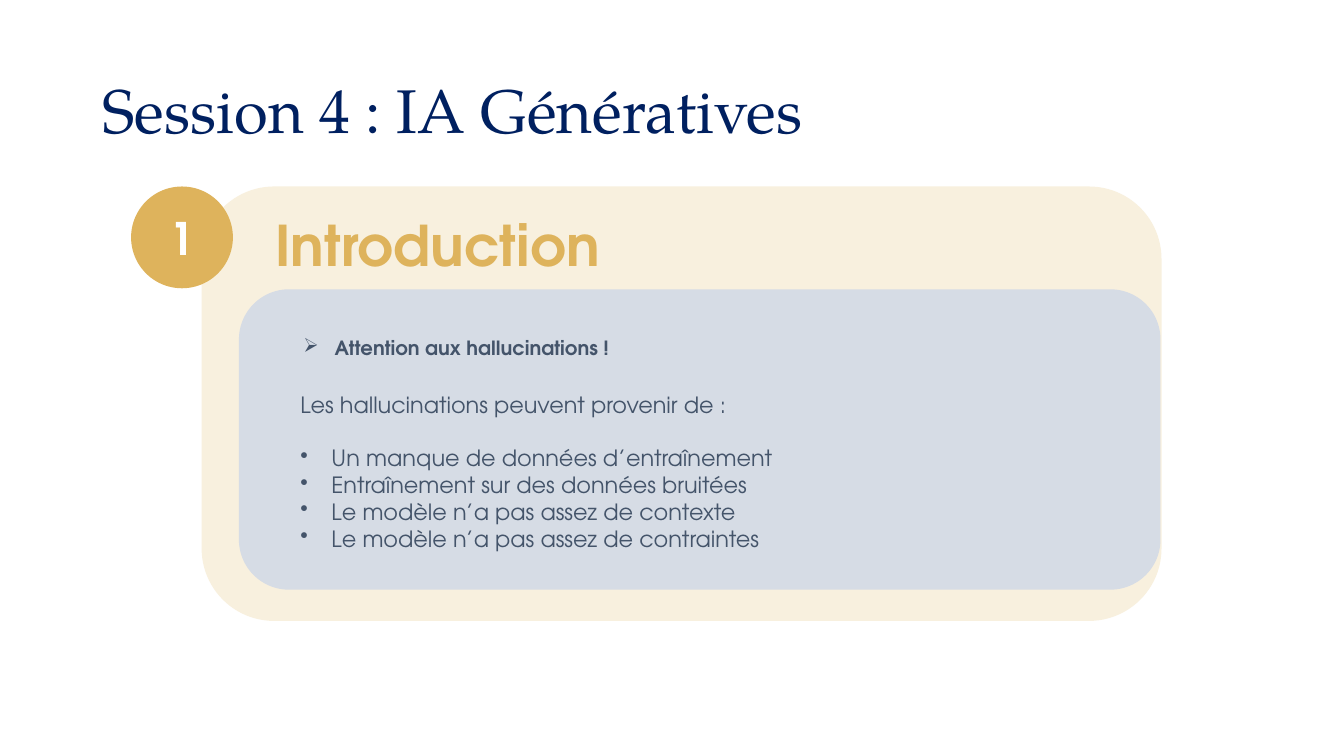
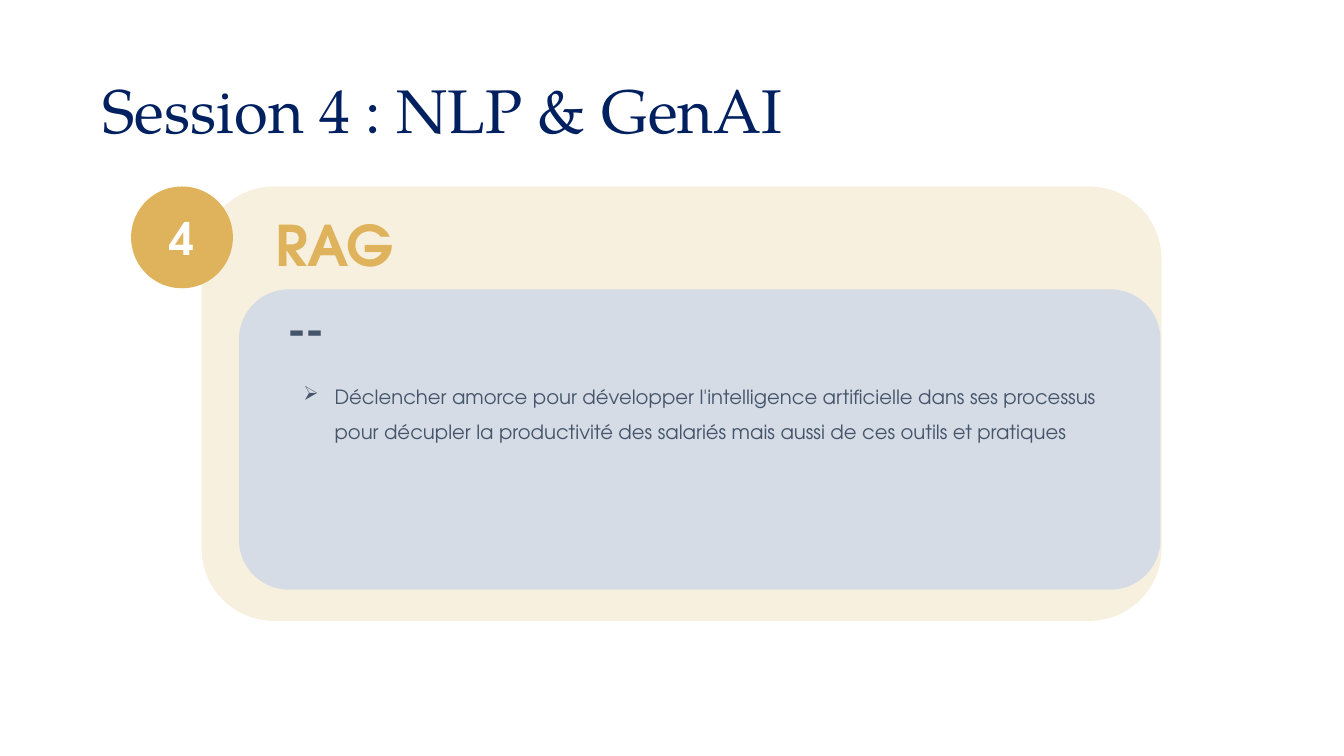
"""Build two session slides, each a numbered card with a heading and a body panel."""
from dataclasses import dataclass

from lxml.etree import SubElement
from pptx import Presentation
from pptx.dml.color import RGBColor
from pptx.enum.shapes import MSO_SHAPE as Shape
from pptx.enum.text import MSO_ANCHOR as Anchor, PP_ALIGN as Align
from pptx.oxml.ns import qn
from pptx.util import Emu, Pt

PX = 9144
NAVY = RGBColor(0x00, 0x20, 0x60)
GOLD = RGBColor(0xDE, 0xB3, 0x5C)
CREAM = RGBColor(0xF8, 0xF0, 0xDE)
MIST = RGBColor(0xD6, 0xDC, 0xE5)
SLATE = RGBColor(0x44, 0x54, 0x6A)
WHITE = RGBColor(0xFF, 0xFF, 0xFF)
SERIF = "TeX Gyre Pagella"
SANS = "TeX Gyre Adventor"
INDENT = 31


@dataclass(frozen=True)
class Box:
    left: int
    top: int
    width: int
    height: int


@dataclass(frozen=True)
class Style:
    size: int
    color: RGBColor = SLATE
    bold: bool = False
    face: str = SANS
    lead: float = 1.0


@dataclass(frozen=True)
class Line:
    text: str
    mark: str = ""
    gap: int = 0


@dataclass(frozen=True)
class Block:
    box: Box
    style: Style
    lines: tuple[Line, ...]


@dataclass(frozen=True)
class Card:
    title: str
    number: str
    head: str
    blocks: tuple[Block, ...]


TITLE = Style(44, NAVY, face=SERIF, lead=0.9)
BADGE = Style(32, WHITE, bold=True)
HEAD = Style(40, GOLD, bold=True)

CARDS = (
    Card("Session 4 : IA Génératives", "1", "Introduction", (
        Block(Box(291, 317, 839, 76), Style(14, bold=True, lead=1.5),
              (Line("Attention aux hallucinations !", "➢"),)),
        Block(Box(288, 383, 757, 172), Style(16), (
            Line("Les hallucinations peuvent provenir de :"),
            Line("Un manque de données d’entraînement", "•", 19),
            Line("Entraînement sur des données bruitées", "•"),
            Line("Le modèle n’a pas assez de contexte", "•"),
            Line("Le modèle n’a pas assez de contraintes", "•"),
        )),
    )),
    Card("Session 4 : NLP & GenAI", "4", "RAG", (
        Block(Box(275, 294, 644, 64), Style(32, bold=True), (Line("--"),)),
        Block(Box(291, 365, 839, 76), Style(14, lead=1.5), (
            Line("Déclencher amorce pour développer l'intelligence artificielle "
                 "dans ses processus pour décupler la productivité des salariés "
                 "mais aussi de ces outils et pratiques", "➢"),
        )),
    )),
)


def place(box: Box) -> tuple[Emu, ...]:
    """Turn a box in px into EMU lengths."""
    return tuple(Emu(n * PX) for n in (box.left, box.top, box.width, box.height))


def bullet(para, mark: str) -> None:
    """Give a paragraph a hanging bullet."""
    props = para._p.get_or_add_pPr()
    props.set("marL", str(INDENT * PX))
    props.set("indent", str(-INDENT * PX))
    SubElement(props, qn("a:buChar")).set("char", mark)


def write(frame, lines: tuple[Line, ...], style: Style,
          anchor=Anchor.TOP, align=Align.LEFT) -> None:
    """Fill a text frame with styled lines."""
    frame.word_wrap = True
    frame.vertical_anchor = anchor
    for i, line in enumerate(lines):
        para = frame.add_paragraph() if i else frame.paragraphs[0]
        para.text = line.text
        if line.mark:
            bullet(para, line.mark)
        para.alignment = align
        para.line_spacing = style.lead
        if line.gap:
            para.space_before = Pt(line.gap)
        for run in para.runs:
            font = run.font
            font.name, font.size, font.bold = style.face, Pt(style.size), style.bold
            font.color.rgb = style.color


def label(slide, box: Box, lines: tuple[Line, ...], style: Style,
          anchor=Anchor.TOP) -> None:
    """Add a text box."""
    write(slide.shapes.add_textbox(*place(box)).text_frame, lines, style, anchor)


def panel(slide, kind: Shape, box: Box, fill: RGBColor):
    """Add a plain filled shape."""
    shape = slide.shapes.add_shape(kind, *place(box))
    shape.shadow.inherit = False
    shape.fill.solid()
    shape.fill.fore_color.rgb = fill
    shape.line.fill.background()
    return shape


def draw(deck, card: Card) -> None:
    """Draw one card on a new slide."""
    slide = deck.slides.add_slide(deck.slide_layouts[6])
    label(slide, Box(92, 40, 1150, 145), (Line(card.title),), TITLE, Anchor.MIDDLE)
    panel(slide, Shape.ROUNDED_RECTANGLE, Box(200, 185, 952, 431), CREAM)
    badge = panel(slide, Shape.OVAL, Box(130, 185, 101, 101), GOLD)
    write(badge.text_frame, (Line(card.number),), BADGE, Anchor.MIDDLE, Align.CENTER)
    label(slide, Box(263, 204, 433, 77), (Line(card.head),), HEAD)
    panel(slide, Shape.ROUNDED_RECTANGLE, Box(237, 287, 914, 298), MIST)
    for block in card.blocks:
        label(slide, block.box, block.lines, block.style)


def main() -> None:
    """Build and save the deck."""
    deck = Presentation()
    deck.slide_width, deck.slide_height = Emu(1333 * PX), Emu(750 * PX)
    for card in CARDS:
        draw(deck, card)
    deck.save("out.pptx")


if __name__ == "__main__":
    main()
